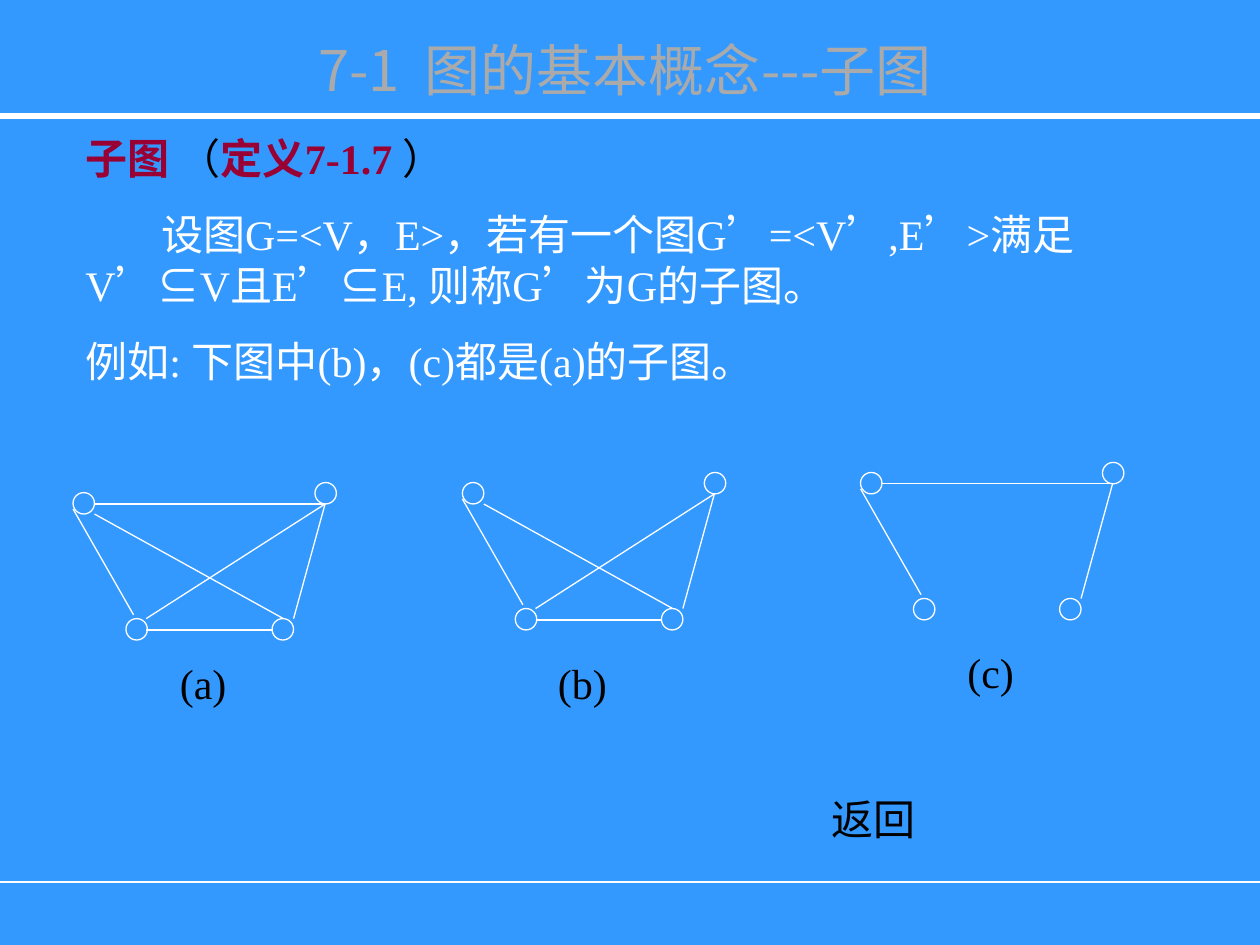
from dataclasses import dataclass

from pptx import Presentation
from pptx.dml.color import RGBColor
from pptx.enum.lang import MSO_LANGUAGE_ID as Language
from pptx.enum.shapes import MSO_CONNECTOR, MSO_SHAPE
from pptx.enum.text import MSO_ANCHOR, MSO_AUTO_SIZE, PP_ALIGN
from pptx.oxml.ns import qn
from pptx.util import Inches, Pt


@dataclass(frozen=True)
class Theme:
    background: RGBColor = RGBColor(0x33, 0x99, 0xFF)
    white: RGBColor = RGBColor(0xFF, 0xFF, 0xFF)
    black: RGBColor = RGBColor(0, 0, 0)
    term: RGBColor = RGBColor(0x99, 0x00, 0x33)
    title: RGBColor = RGBColor(0xAA, 0xAA, 0xAA)
    title_size: Pt = Pt(32)
    body_size: Pt = Pt(24)
    paragraph_gap: Pt = Pt(15)
    title_font: str = "Noto Sans CJK SC"
    body_font: str = "Times New Roman"
    symbol_font: str = "Arial"
    thin: Pt = Pt(0.75)
    thick: Pt = Pt(3)


THEME = Theme()
NODE_SIZE = 0.17

# Positions within a graph, in inches from its top left corner
NODES = [(0, 0.08), (0.42, 1.08), (1.92, 0), (1.58, 1.08)]
EDGES = {
    "left": (0, 0.21, 0.48, 1.05),
    "bottom": (0.58, 1.17, 1.58, 1.17),
    "right": (1.75, 1.08, 2, 0.17),
    "top": (0.17, 0.17, 2, 0.17),
    "falling": (0.17, 0.25, 1.67, 1.08),
    "rising": (0.58, 1.08, 2, 0.17),
}
# Label, graph corner, label corner, edges
GRAPHS = [
    ("(a)", (0.58, 3.83), (1.33, 5.17), list(EDGES)),
    ("(b)", (3.67, 3.75), (4.33, 5.17),
     ["left", "bottom", "right", "falling", "rising"]),
    ("(c)", (6.83, 3.67), (7.58, 5.08), ["left", "right", "top"]),
]

WHITE, BLACK, TERM = THEME.white, THEME.black, THEME.term
BODY, SYMBOL = THEME.body_font, THEME.symbol_font
DEFINITION = [
    [("子图", TERM, BODY), (" （", BLACK, BODY),
     ("定义7-1.7 ", TERM, BODY), ("）", BLACK, BODY)],
    [("设图G=<V，E>，若有一个图G’=<V’,E’>满足V’", WHITE, BODY),
     ("⊆", WHITE, SYMBOL), ("V且E’", WHITE, BODY), ("⊆", WHITE, SYMBOL),
     ("E, 则称G’为G的子图。", WHITE, BODY)],
    [("例如: 下图中(b)，(c)都是(a)的子图。", WHITE, BODY)],
]


def add_line(shapes, x1, y1, x2, y2, width=THEME.thin):
    line = shapes.add_connector(
        MSO_CONNECTOR.STRAIGHT, Inches(x1), Inches(y1), Inches(x2), Inches(y2))
    line.line.color.rgb = THEME.white
    line.line.width = width
    properties = line._element.spPr
    properties.append(properties.makeelement(qn("a:effectLst"), {}))


def add_text_box(shapes, left, top, width, height):
    box = shapes.add_textbox(
        Inches(left), Inches(top), Inches(width), Inches(height))
    frame = box.text_frame
    frame.word_wrap = True
    frame.auto_size = MSO_AUTO_SIZE.SHAPE_TO_FIT_TEXT
    return frame


def add_label(shapes, text, left, top, width, height):
    paragraph = add_text_box(shapes, left, top, width, height).paragraphs[0]
    paragraph.text = text
    paragraph.font.size = THEME.body_size
    paragraph.font.name = THEME.body_font
    paragraph.font.color.rgb = THEME.black


def place_title(slide, left, top, width, height):
    title = slide.shapes.title
    title.left, title.top = Inches(left), Inches(top)
    title.width, title.height = Inches(width), Inches(height)
    frame = title.text_frame
    frame.text = "7-1  图的基本概念---子图"
    frame.word_wrap = False
    frame.auto_size = MSO_AUTO_SIZE.NONE
    frame.vertical_anchor = MSO_ANCHOR.MIDDLE
    paragraph = frame.paragraphs[0]
    paragraph.alignment = PP_ALIGN.CENTER
    paragraph.font.size = THEME.title_size
    paragraph.font.name = THEME.title_font
    paragraph.font.color.rgb = THEME.title


def add_definition(slide, left, top, width, height):
    frame = add_text_box(slide.shapes, left, top, width, height)
    for index, runs in enumerate(DEFINITION):
        paragraph = frame.add_paragraph() if index else frame.paragraphs[0]
        if index:
            paragraph.space_before = THEME.paragraph_gap
        if index == 1:
            paragraph._p.get_or_add_pPr().set("indent", str(Inches(0.6)))
        paragraph.font.size = THEME.body_size
        for text, color, font in runs:
            run = paragraph.add_run()
            run.text = text
            run.font.name = font
            run.font.color.rgb = color
            run.font.bold = color == THEME.term
            run.font.language_id = Language.SIMPLIFIED_CHINESE


def add_graph(slide, label, corner, label_corner, edges):
    left, top = corner
    shapes = slide.shapes.add_group_shape().shapes
    for x, y in NODES:
        node = shapes.add_shape(
            MSO_SHAPE.OVAL, Inches(left + x), Inches(top + y),
            Inches(NODE_SIZE), Inches(NODE_SIZE))
        node.shadow.inherit = False
        node.fill.background()
        node.line.color.rgb = THEME.white
        node.line.width = THEME.thin
    for edge in edges:
        x1, y1, x2, y2 = EDGES[edge]
        add_line(shapes, left + x1, top + y1, left + x2, top + y2)
    add_label(shapes, label, *label_corner, 0.67, 0.5)


def main():
    presentation = Presentation()
    presentation.slide_width = Inches(10)
    presentation.slide_height = Inches(7.5)
    slide = presentation.slides.add_slide(presentation.slide_layouts[5])
    slide.background.fill.solid()
    slide.background.fill.fore_color.rgb = THEME.background

    add_line(slide.shapes, 0, 0.92, 10, 0.92, THEME.thick)
    add_line(slide.shapes, 0, 7, 10, 7)
    place_title(slide, 2, 0.17, 5.92, 0.75)
    add_definition(slide, 0.58, 1, 8.75, 2.12)
    for graph in GRAPHS:
        add_graph(slide, *graph)
    add_label(slide.shapes, "返回", 6.5, 6.25, 0.92, 0.5)
    presentation.save("out.pptx")


if __name__ == "__main__":
    main()
